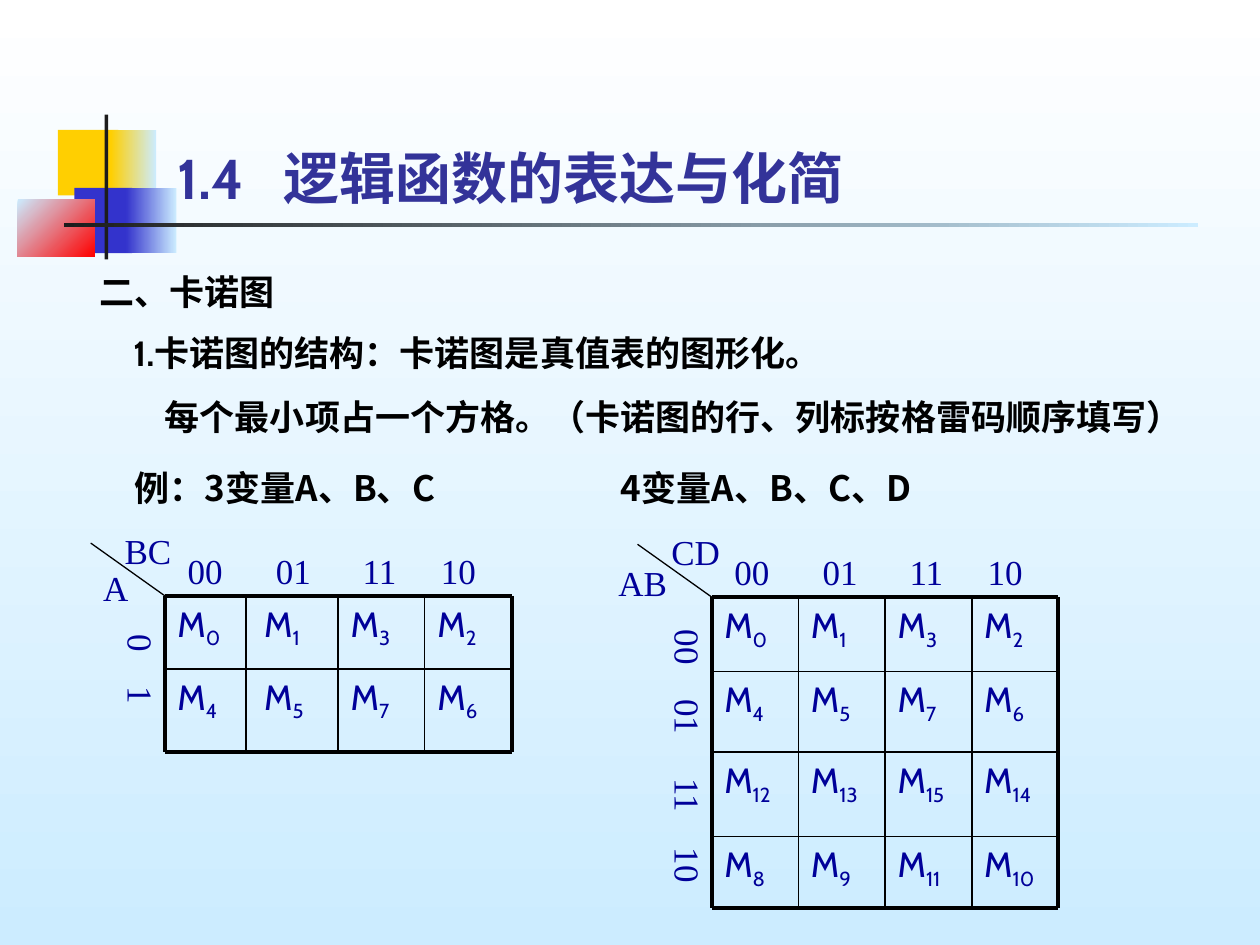
"""Build a slide on the structure of Karnaugh maps."""
from itertools import accumulate
from lxml import etree
from pptx import Presentation
from pptx.dml.color import RGBColor
from pptx.enum.shapes import MSO_CONNECTOR, MSO_SHAPE
from pptx.enum.text import MSO_ANCHOR, PP_ALIGN
from pptx.oxml.ns import qn
from pptx.util import Inches, Pt

RECT, LINE = MSO_SHAPE.RECTANGLE, MSO_CONNECTOR.STRAIGHT
LEFT, MID = PP_ALIGN.LEFT, PP_ALIGN.CENTER
TOP, CENTER, BOTTOM = MSO_ANCHOR.TOP, MSO_ANCHOR.MIDDLE, MSO_ANCHOR.BOTTOM
WHITE, SKY = RGBColor(255, 255, 255), RGBColor(0xCC, 0xEC, 0xFF)
GOLD, BLUE = RGBColor(0xFF, 0xCF, 0x01), RGBColor(0x33, 0x33, 0xCC)
RED, DARK = RGBColor(255, 0, 0), RGBColor(0x1C, 0x1C, 0x1C)
BLACK, NAVY = RGBColor(0, 0, 0), RGBColor(0, 0, 0x99)
INDIGO = RGBColor(0x33, 0x33, 0x99)
SANS, SERIF, HAN = "Cabin", "Times New Roman", "Noto Sans CJK SC"

DECOR = [
    ((0.46, 1.03, 0.48, 0.52), (GOLD,), 0),
    ((0.88, 1.03, 0.36, 0.52), (GOLD, SKY), 0),
    ((0.59, 1.49, 0.46, 0.52), (BLUE,), 0),
    ((1, 1.49, 0.4, 0.52), (BLUE, SKY), 0),
    ((0.14, 1.58, 0.61, 0.46), (SKY, RED), 45),
    ((0.83, 0.91, 0.03, 1.15), (DARK,), 0),
    ((0.51, 1.77, 9, 0.03), (DARK, SKY), 0),
]
TITLE = "1.4\t逻辑函数的表达与化简"
HEAD = "二、卡诺图"
BODY = ["1.卡诺图的结构：卡诺图是真值表的图形化。",
        "每个最小项占一个方格。（卡诺图的行、列标按格雷码顺序填写）"]
CASES = [(0.97, "例：3变量A、B、C"), (4.83, "4变量A、B、C、D")]
CODES = ["00", "01", "11", "10"]
SHIFTS = [0.08, 0.78, 1.47, 2.09]
SPAN = 2.75
SIDE = SPAN / len(CODES)
MAPS = [
    dict(at=(1.31, 4.73), top="BC", side="A", nudge=(-0.59, -0.28),
         cuts=(0, 0.64, 1.37, 2.06, SPAN),
         rows=[("0", 0.51, 0.58), ("1", 0.92, 0.66)],
         terms=[(0, 1, 3, 2), (4, 5, 7, 6)]),
    dict(at=(5.65, 4.74), top="CD", side="AB", nudge=(-0.84, -0.33),
         cuts=[SIDE * i for i in range(len(CODES) + 1)],
         rows=[("00", 0.46, 0.59), ("01", 1.01, 0.64),
               ("11", 1.64, 0.67), ("10", 2.19, 0.57)],
         terms=[(0, 1, 3, 2), (4, 5, 7, 6),
                (12, 13, 15, 14), (8, 9, 11, 10)]),
]


def paint(fill, hues, angle=0):
    if len(hues) == 1:
        fill.solid()
        fill.fore_color.rgb = hues[0]
        return
    fill.gradient()
    fill.gradient_angle = (360 - angle) % 360
    for stop, hue in zip(fill.gradient_stops, hues):
        stop.color.rgb = hue


def frame(slide, left, top, width, height, wrap=True, anchor=TOP):
    box = slide.shapes.add_textbox(*map(Inches, (left, top, width, height)))
    box.text_frame.word_wrap = wrap
    box.text_frame.vertical_anchor = anchor
    return box.text_frame


def put(para, text, size=20, face=SERIF, hue=NAVY, bold=False, align=LEFT,
        sub="", gap=0, indent=0, tab=0, lead=None):
    para.alignment = align
    para.space_before = Pt(gap)
    if lead:
        para.line_spacing = lead
    props = para._p.get_or_add_pPr()
    if indent:
        props.set("marL", str(Inches(indent)))
    if tab:
        tabs = etree.SubElement(props, qn("a:tabLst"))
        etree.SubElement(tabs, qn("a:tab"), pos=str(Inches(tab)), algn="l")
    for part, base in ((text, 0), (sub, -25000)):
        if not part:
            continue
        run = para.add_run()
        run.text = part
        font = run.font
        font.size, font.name, font.bold = Pt(size), face, bold
        font.color.rgb = hue
        look = run._r.get_or_add_rPr()
        etree.SubElement(look, qn("a:ea"), typeface=face)
        if base:
            look.set("baseline", str(base))


def rule(slide, ends, width):
    line = slide.shapes.add_connector(LINE, *map(Inches, ends))
    line.line.color.rgb, line.line.width = BLACK, Pt(width)
    etree.SubElement(line._element.spPr, qn("a:effectLst"))


def grid(slide, x, y, cuts, rows, terms):
    highs = [row[2] for row in rows]
    drops = list(accumulate(highs, initial=0))
    for line, drop, high in zip(terms, drops, highs):
        for c, term in enumerate(line):
            cell = frame(slide, x + SIDE * c, y + drop, SIDE, high)
            put(cell.paragraphs[0], "M", face=SANS, sub=str(term))
    for drop in drops:
        rule(slide, (x, y + drop, x + SPAN, y + drop),
             2.25 if drop in (0, drops[-1]) else 1)
    for cut in cuts:
        rule(slide, (x + cut, y, x + cut, y + drops[-1]),
             2.25 if cut in (0, SPAN) else 1)


def kmap(slide, at, top, side, nudge, cuts, rows, terms):
    x, y = at
    grid(slide, x, y, cuts, rows, terms)
    rule(slide, (x - 0.59, y - 0.42, x, y), 0.75)
    marks = [(-0.42, -0.58, top), (*nudge, side)]
    marks += [(dx, -0.42, code) for dx, code in zip(SHIFTS, CODES)]
    for dx, dy, text in marks:
        put(frame(slide, x + dx, y + dy, 0.75, 0.44).paragraphs[0], text)
    for code, mid, _ in rows:
        spot = frame(slide, x - 0.45, y + mid - 0.3, 0.53, 0.6, anchor=CENTER)
        spot._txBody.bodyPr.set("vert", "eaVert")
        put(spot.paragraphs[0], code, align=MID)


def main():
    deck = Presentation()
    deck.slide_width, deck.slide_height = Inches(10), Inches(7.5)
    slide = deck.slides.add_slide(deck.slide_layouts[6])
    paint(slide.background.fill, (WHITE, SKY), 90)
    for spot, hues, angle in DECOR:
        shape = slide.shapes.add_shape(RECT, *map(Inches, spot))
        shape.shadow.inherit = False
        shape.line.fill.background()
        paint(shape.fill, hues, angle)
    title = frame(slide, 1.31, 0.92, 7.1, 0.8, anchor=BOTTOM)
    put(title.paragraphs[0], TITLE, size=32, face=SANS, hue=INDIGO,
        bold=True, tab=0.84)
    bold = dict(hue=BLACK, bold=True)
    head = frame(slide, 0.69, 2.1, 1.59, 0.44, wrap=False)
    put(head.paragraphs[0], HEAD, face=SANS, **bold)
    body = frame(slide, 0.96, 2.58, 8.61, 0.94)
    put(body.paragraphs[0], BODY[0], face=SANS, **bold)
    put(body.add_paragraph(), BODY[1], face=SANS, gap=12.5, indent=0.25, **bold)
    for left, text in CASES:
        case = frame(slide, left, 3.59, 3.8, 0.5)
        put(case.paragraphs[0], text, face=HAN, lead=1.2, **bold)
    for item in MAPS:
        kmap(slide, **item)
    deck.save("out.pptx")


if __name__ == "__main__":
    main()
